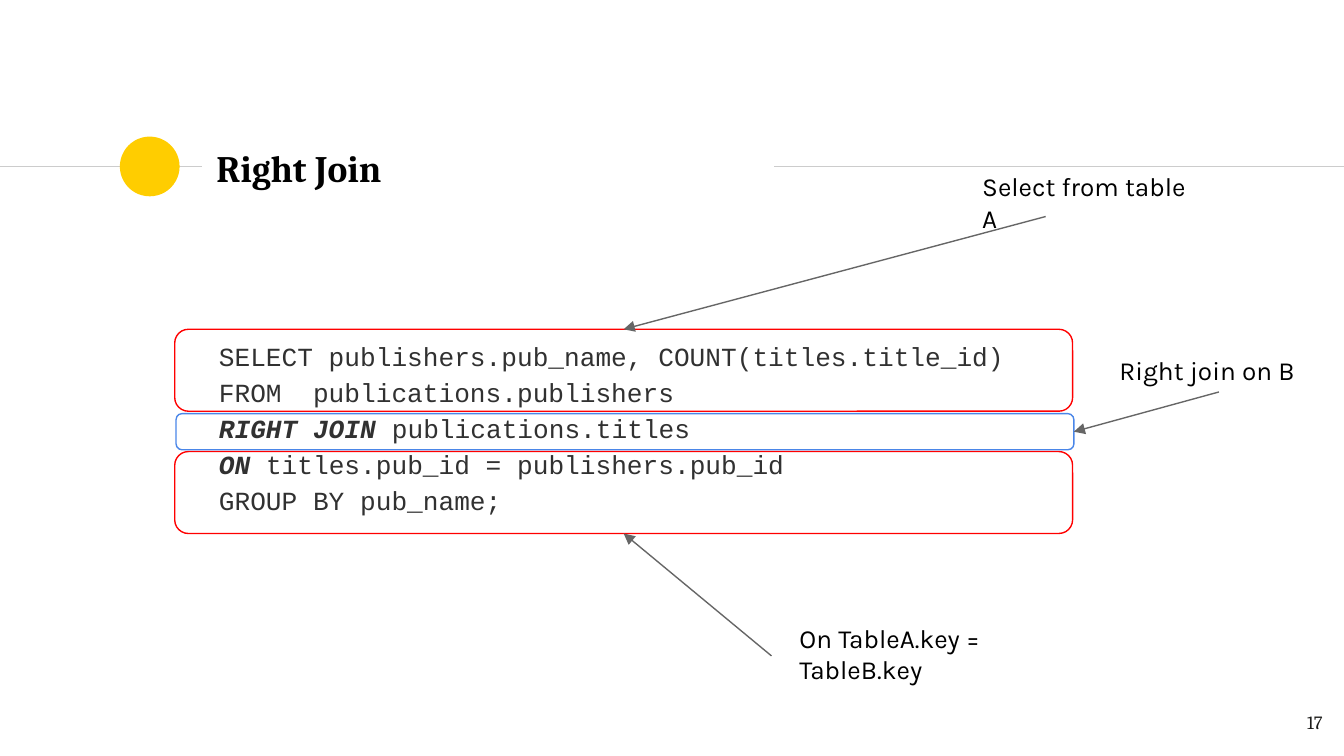
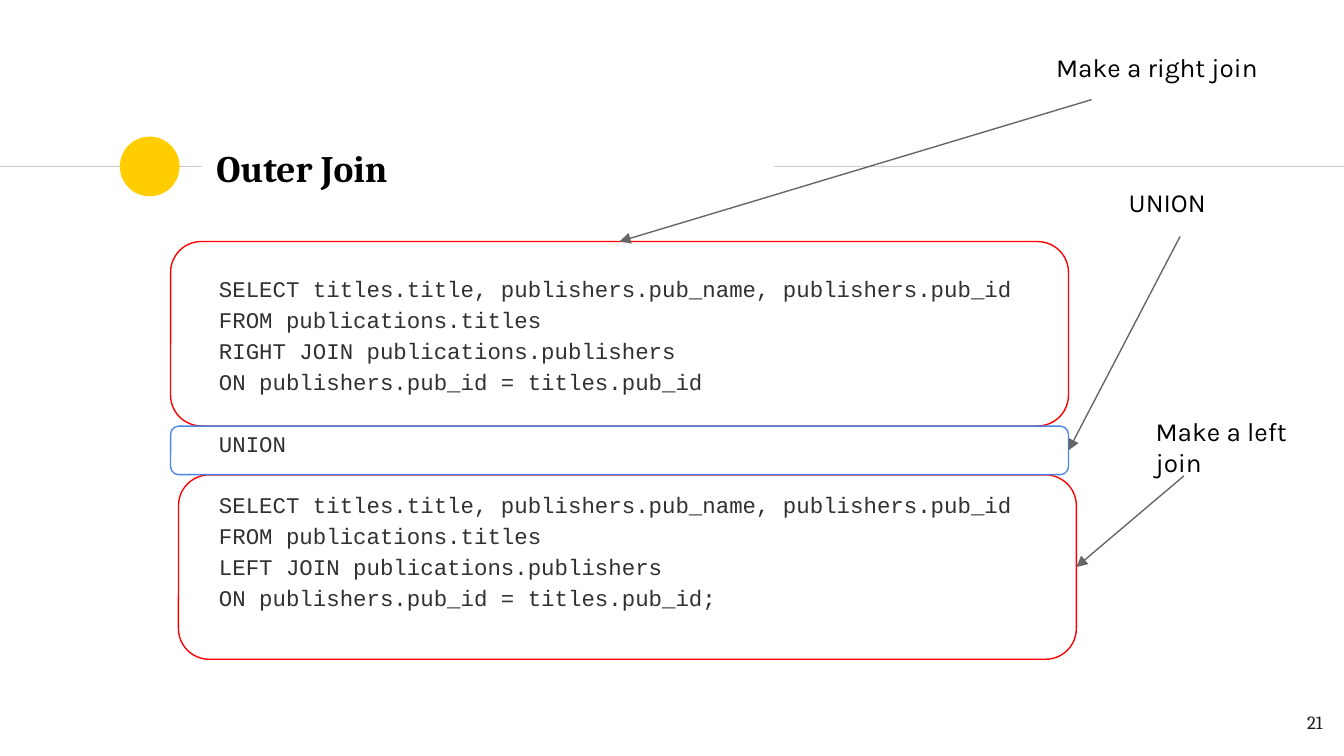
"""Build two slides that explain SQL right and outer joins with annotated code."""
from lxml import etree
from pptx import Presentation
from pptx.dml.color import RGBColor
from pptx.enum.shapes import MSO_CONNECTOR, MSO_SHAPE
from pptx.enum.text import MSO_ANCHOR, MSO_AUTO_SIZE, PP_ALIGN
from pptx.oxml.ns import qn
from pptx.util import Pt

STRAIGHT = MSO_CONNECTOR.STRAIGHT
OVAL, ROUNDED = MSO_SHAPE.OVAL, MSO_SHAPE.ROUNDED_RECTANGLE
LEFT, RIGHT = PP_ALIGN.LEFT, PP_ALIGN.RIGHT
TOP, MIDDLE = MSO_ANCHOR.TOP, MSO_ANCHOR.MIDDLE
NO_AUTOFIT = MSO_AUTO_SIZE.NONE
TOP_SITE, BOTTOM_SITE, RIGHT_SITE = 0, 2, 3

THEME = {
    "accent": RGBColor(0xFF, 0xCD, 0x00),
    "rule": RGBColor(0xCC, 0xCC, 0xCC),
    "arrow": RGBColor(0x66, 0x66, 0x66),
    "query": RGBColor(0xFF, 0x00, 0x00),
    "keyword": RGBColor(0x4A, 0x86, 0xE8),
    "title": ("Cambria", 20, RGBColor(0x00, 0x00, 0x00)),
    "number": ("Cambria", 10, RGBColor(0x1D, 0x1D, 0x1B)),
    "note": ("Karla", 14, RGBColor(0x00, 0x00, 0x00)),
    "code": ("Courier New", None, RGBColor(0x31, 0x31, 0x31)),
    "line": 0.75,
}
FRAME_WIDTH = 481
CODE_LEFT, CODE_WIDTH, CODE_INDENT = 74.2, 571, 36

SLIDES = [
    {
        "title": "Right Join",
        "number": "17",
        "code_top": 172.8,
        "code_height": 113,
        "code_size": 14,
        "gap": 0,
        "blocks": [
            [("", "SELECT publishers.pub_name, COUNT(titles.title_id)"),
             ("", "FROM  publications.publishers"),
             ("RIGHT JOIN ", "publications.titles"),
             ("ON", " titles.pub_id = publishers.pub_id"),
             ("", "GROUP BY pub_name;")],
        ],
        "steps": [
            ("query", (93.6, 176.4, 43.9), TOP_SITE, (560.2, 116),
             "Select from table A", (519.1, 84.2, 133.2, 43.9)),
            ("query", (93.6, 241.9, 43.9), BOTTOM_SITE, (413.3, 351.4),
             "On TableA.key = TableB.key", (421.2, 326.2, 133.2, 43.9)),
            ("keyword", (94.3, 221.6, 19.4), RIGHT_SITE, (653, 210),
             "Right join on B", (592.6, 182.9, 113, 31)),
        ],
    },
    {
        "title": "Outer Join",
        "number": "21",
        "code_top": 138.2,
        "code_height": 200.9,
        "code_size": 12,
        "gap": 16.5,
        "blocks": [
            [("", "SELECT titles.title, publishers.pub_name, publishers.pub_id"),
             ("", "FROM publications.titles"),
             ("", "RIGHT JOIN publications.publishers"),
             ("", "ON publishers.pub_id = titles.pub_id")],
            [("", "UNION")],
            [("", "SELECT titles.title, publishers.pub_name, publishers.pub_id"),
             ("", "FROM publications.titles"),
             ("", "LEFT JOIN publications.publishers"),
             ("", "ON publishers.pub_id = titles.pub_id;")],
        ],
        "steps": [
            ("query", (91.4, 129.4, 98.8), TOP_SITE, (584.8, 53.4),
             "Make a right join", (558.7, 20.2, 125.3, 25.9)),
            ("query", (95.6, 254.4, 98.8), RIGHT_SITE, (634.3, 254.9),
             "Make a left join", (612, 215.3, 103.7, 52.6)),
            ("keyword", (91.4, 228.3, 26), RIGHT_SITE, (632.2, 126.7),
             "UNION", (597.6, 92.9, 97.9, 25.9)),
        ],
    },
]


def put_text(holder, box, text, style, align=LEFT, anchor=TOP, bold=False):
    """Place a text holder and give it one evenly styled paragraph."""
    holder.left, holder.top, holder.width, holder.height = map(Pt, box)
    frame = holder.text_frame
    frame.word_wrap, frame.auto_size, frame.vertical_anchor = True, NO_AUTOFIT, anchor
    frame.margin_left = frame.margin_right = Pt(7.2)
    frame.margin_top = frame.margin_bottom = Pt(7.2)
    frame.text = text
    frame.paragraphs[0].alignment = align
    font = frame.paragraphs[0].runs[0].font
    font.name, size, font.color.rgb = THEME[style]
    font.size, font.bold = Pt(size), bold


def draw_line(slide, start, end, color):
    """Draw a thin straight line without a shadow."""
    line = slide.shapes.add_connector(STRAIGHT, *map(Pt, (*start, *end)))
    line.line.color.rgb = THEME[color]
    line.line.width = Pt(THEME["line"])
    etree.SubElement(line._element.spPr, qn("a:effectLst"))
    return line


deck = Presentation()
deck.slide_width, deck.slide_height = Pt(720), Pt(405)
title_only = deck.slide_layouts[5]

for content in SLIDES:
    slide = deck.slides.add_slide(title_only)
    shapes = slide.shapes

    for rule_start, rule_end in ((0, 108), (414.7, 720)):
        draw_line(slide, (rule_start, 89.2), (rule_end, 89.2), "rule")
    dot = shapes.add_shape(OVAL, Pt(64.2), Pt(73.2), Pt(32), Pt(32))
    dot.shadow.inherit = False
    dot.fill.solid()
    dot.fill.fore_color.rgb = THEME["accent"]
    dot.line.fill.background()
    put_text(shapes.title, (108.7, 72.7, 305.3, 34.6), content["title"], "title",
             anchor=MIDDLE, bold=True)
    put_text(shapes.add_textbox(0, 0, 0, 0), (672.5, 373.7, 43.2, 31),
             content["number"], "number", align=RIGHT)

    code = shapes.add_textbox(Pt(CODE_LEFT), Pt(content["code_top"]),
                              Pt(CODE_WIDTH), Pt(content["code_height"])).text_frame
    code.word_wrap = True
    code.margin_left = code.margin_right = code.margin_top = code.margin_bottom = Pt(7.2)
    statements = [(block_index, line_index, parts)
                  for block_index, block in enumerate(content["blocks"])
                  for line_index, parts in enumerate(block)]
    for block_index, line_index, parts in statements:
        first = block_index == line_index == 0
        statement = code.paragraphs[0] if first else code.add_paragraph()
        statement.line_spacing = 1.15
        statement.space_before = Pt(content["gap"] if block_index and not line_index else 0)
        indent = statement._p.get_or_add_pPr()
        indent.set("marL", str(Pt(CODE_INDENT)))
        indent.set("indent", "0")
        for part, emphasised in zip(parts, (True, False)):
            if part:
                run = statement.add_run()
                run.text = part
                run.font.name, _, run.font.color.rgb = THEME["code"]
                run.font.size = Pt(content["code_size"])
                run.font.bold = run.font.italic = emphasised

    for color, (left, top, height), site, arrow_start, note, note_box in content["steps"]:
        frame = shapes.add_shape(ROUNDED, Pt(left), Pt(top), Pt(FRAME_WIDTH), Pt(height))
        frame.shadow.inherit = False
        frame.fill.background()
        frame.line.color.rgb = THEME[color]
        frame.line.width = Pt(THEME["line"])
        arrow = draw_line(slide, arrow_start, arrow_start, "arrow")
        arrow.end_connect(frame, site)
        etree.SubElement(arrow.line._get_or_add_ln(), qn("a:tailEnd"), type="triangle")
        put_text(shapes.add_textbox(0, 0, 0, 0), note_box, note, "note")

deck.save("out.pptx")
